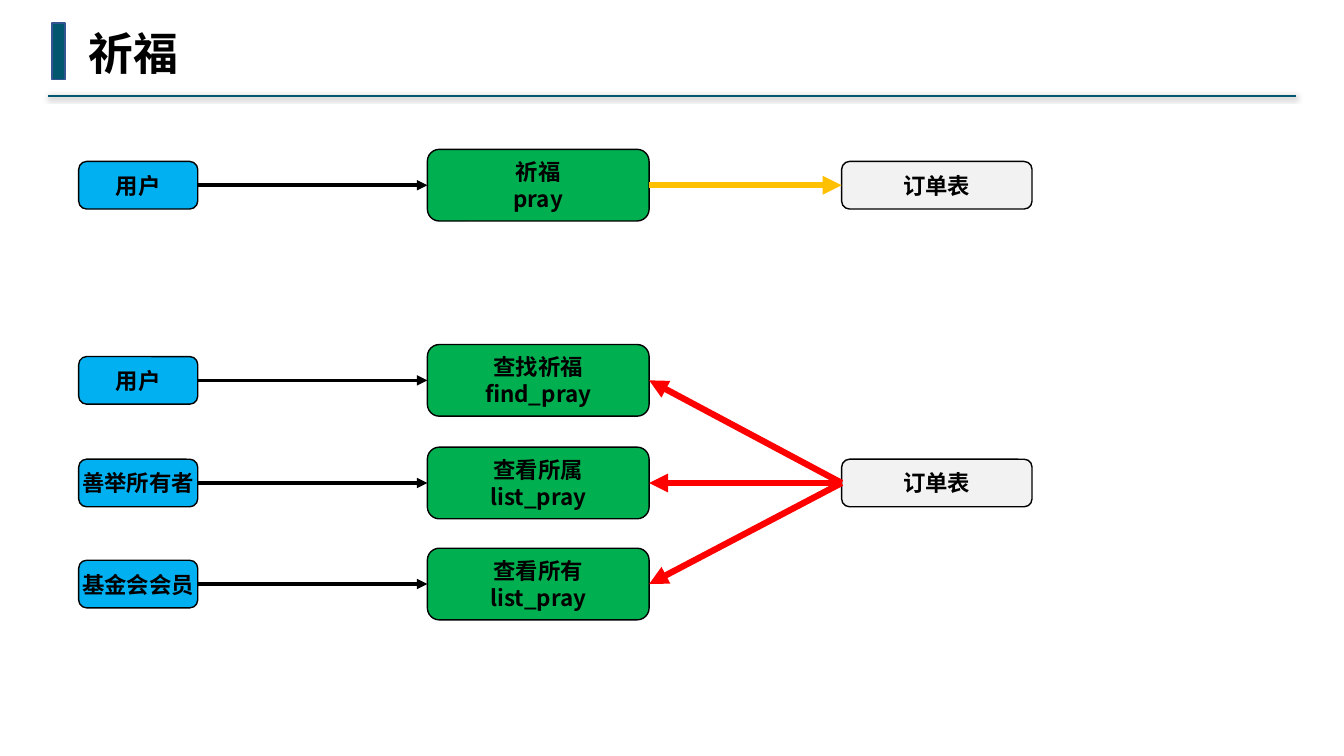
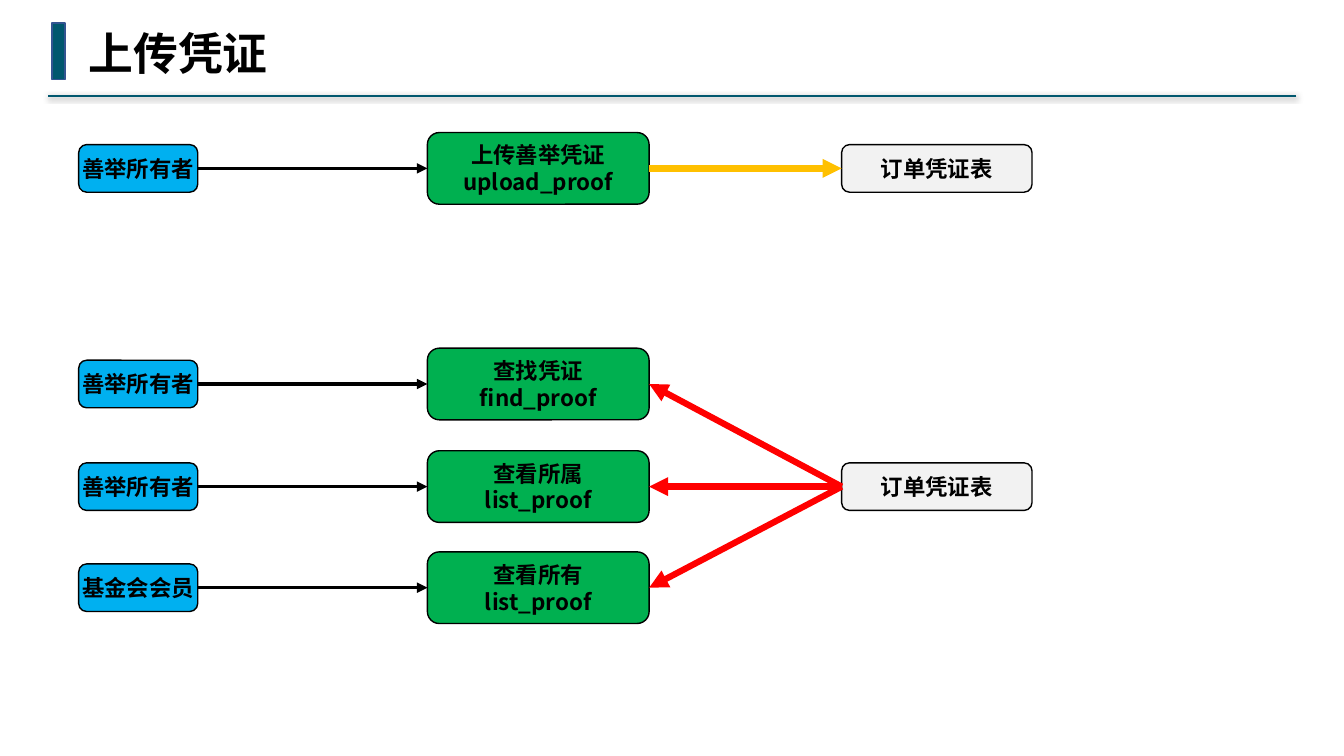
from lxml import etree
from pptx import Presentation
from pptx.dml.color import RGBColor
from pptx.enum.shapes import MSO_CONNECTOR, MSO_SHAPE
from pptx.enum.text import MSO_ANCHOR, PP_ALIGN
from pptx.oxml.ns import qn
from pptx.util import Pt

# Content: each flow is (role, action, function), top to bottom
SLIDES = [
    {"title": "祈福", "table": "订单表", "write_y": 132.3, "read_y": 345,
     "write": ("用户", "祈福", "pray"),
     "reads": [("用户", "查找祈福", "find_pray"),
               ("善举所有者", "查看所属", "list_pray"),
               ("基金会会员", "查看所有", "list_pray")]},
    {"title": "上传凭证", "table": "订单凭证表", "write_y": 120.3, "read_y": 347.6,
     "write": ("善举所有者", "上传善举凭证", "upload_proof"),
     "reads": [("善举所有者", "查找凭证", "find_proof"),
               ("善举所有者", "查看所属", "list_proof"),
               ("基金会会员", "查看所有", "list_proof")]},
]

# Shared style
TEAL, BAR_EDGE, BLACK = "00576E", "325491", "000000"
WRITE, READ = "FFC000", "FF0000"
FONT, TITLE_FONT = "Noto Sans CJK SC", "Noto Sans Mono"
TITLE_SIZE, BOX_SIZE = 32, 16
# Column: left, width, height, fill
ROLE = (56.2, 85, 34, "00B0F0")
ACTION = (305.3, 158.4, 51.2, "00B050")
TABLE = (601.2, 136, 34, "F2F2F2")
READ_OFFSETS = (-73.3, 0, 72.2)
LEFT_SITE, RIGHT_SITE = 1, 3


def rgb(value):
    return RGBColor.from_string(value)


def write_text(shape, lines, size, font=FONT, align=PP_ALIGN.LEFT,
               anchor=MSO_ANCHOR.TOP, inset=None):
    tf = shape.text_frame
    tf.word_wrap = False
    tf.vertical_anchor = anchor
    if inset is not None:
        tf.margin_left = tf.margin_right = Pt(inset)
        tf.margin_top = tf.margin_bottom = Pt(inset)
    for i, line in enumerate(lines):
        p = tf.add_paragraph() if i else tf.paragraphs[0]
        p.alignment = align
        p.line_spacing = Pt(1.2 * size)
        r = p.add_run()
        r.text = line
        r.font.size, r.font.bold, r.font.name = Pt(size), True, font
        r.font.color.rgb = rgb(BLACK)
        etree.SubElement(r.font._element, qn("a:ea"), typeface=FONT)


def add_shape(slide, kind, left, top, width, height, fill, edge):
    sp = slide.shapes.add_shape(kind, Pt(left), Pt(top), Pt(width), Pt(height))
    sp.shadow.inherit = False
    sp.fill.solid()
    sp.fill.fore_color.rgb = rgb(fill)
    sp.line.color.rgb = rgb(edge)
    sp.line.width = Pt(1)
    return sp


def add_box(slide, column, center_y, *lines):
    left, width, height, fill = column
    sp = add_shape(slide, MSO_SHAPE.ROUNDED_RECTANGLE, left,
                   center_y - height / 2, width, height, fill, BLACK)
    write_text(sp, lines, BOX_SIZE, align=PP_ALIGN.CENTER,
               anchor=MSO_ANCHOR.MIDDLE, inset=2.88)
    return sp


def add_line(slide, color, width, x1=0, y1=0, x2=0, y2=0):
    line = slide.shapes.add_connector(
        MSO_CONNECTOR.STRAIGHT, Pt(x1), Pt(y1), Pt(x2), Pt(y2))
    line.line.color.rgb = rgb(color)
    line.line.width = Pt(width)
    effects = etree.SubElement(line._element.spPr, qn("a:effectLst"))
    return line, effects


def add_arrow(slide, start, start_site, end, end_site, color, width):
    arrow, _ = add_line(slide, color, width)
    arrow.begin_connect(start, start_site)
    arrow.end_connect(end, end_site)
    etree.SubElement(arrow.line._get_or_add_ln(), qn("a:tailEnd"), type="triangle")


def add_header(slide, title):
    # Rule with a soft shadow below
    _, effects = add_line(slide, TEAL, 1.5, 926, 68.4, 34, 68.4)
    shadow = etree.SubElement(effects, qn("a:outerShdw"), blurRad=str(Pt(4)),
                              dist=str(Pt(1)), dir="5400000", rotWithShape="0")
    color = etree.SubElement(shadow, qn("a:srgbClr"), val=BLACK)
    etree.SubElement(color, qn("a:alpha"), val="40000")
    # Bar and title
    add_shape(slide, MSO_SHAPE.RECTANGLE, 37.2, 16.4, 9.4, 40.4, TEAL, BAR_EDGE)
    box = slide.shapes.add_textbox(Pt(56.2), Pt(14.6),
                                   Pt(TITLE_SIZE * len(title) + 14.4), Pt(46))
    write_text(box, [title], TITLE_SIZE, font=TITLE_FONT)


def add_flow(slide, flow, center_y):
    role, *action = flow
    role_box = add_box(slide, ROLE, center_y, role)
    action_box = add_box(slide, ACTION, center_y, *action)
    add_arrow(slide, role_box, RIGHT_SITE, action_box, LEFT_SITE, BLACK, 2.5)
    return action_box


def build_slide(prs, data):
    slide = prs.slides.add_slide(prs.slide_layouts[6])
    add_header(slide, data["title"])
    # Writing flow
    action = add_flow(slide, data["write"], data["write_y"])
    table = add_box(slide, TABLE, data["write_y"], data["table"])
    add_arrow(slide, action, RIGHT_SITE, table, LEFT_SITE, WRITE, 4.5)
    # Reading flows fan out from one table
    table = add_box(slide, TABLE, data["read_y"], data["table"])
    for flow, offset in zip(data["reads"], READ_OFFSETS):
        action = add_flow(slide, flow, data["read_y"] + offset)
        add_arrow(slide, table, LEFT_SITE, action, RIGHT_SITE, READ, 4.5)


def main():
    prs = Presentation()
    prs.slide_width, prs.slide_height = Pt(960), Pt(540)
    for data in SLIDES:
        build_slide(prs, data)
    prs.save("out.pptx")


if __name__ == "__main__":
    main()
